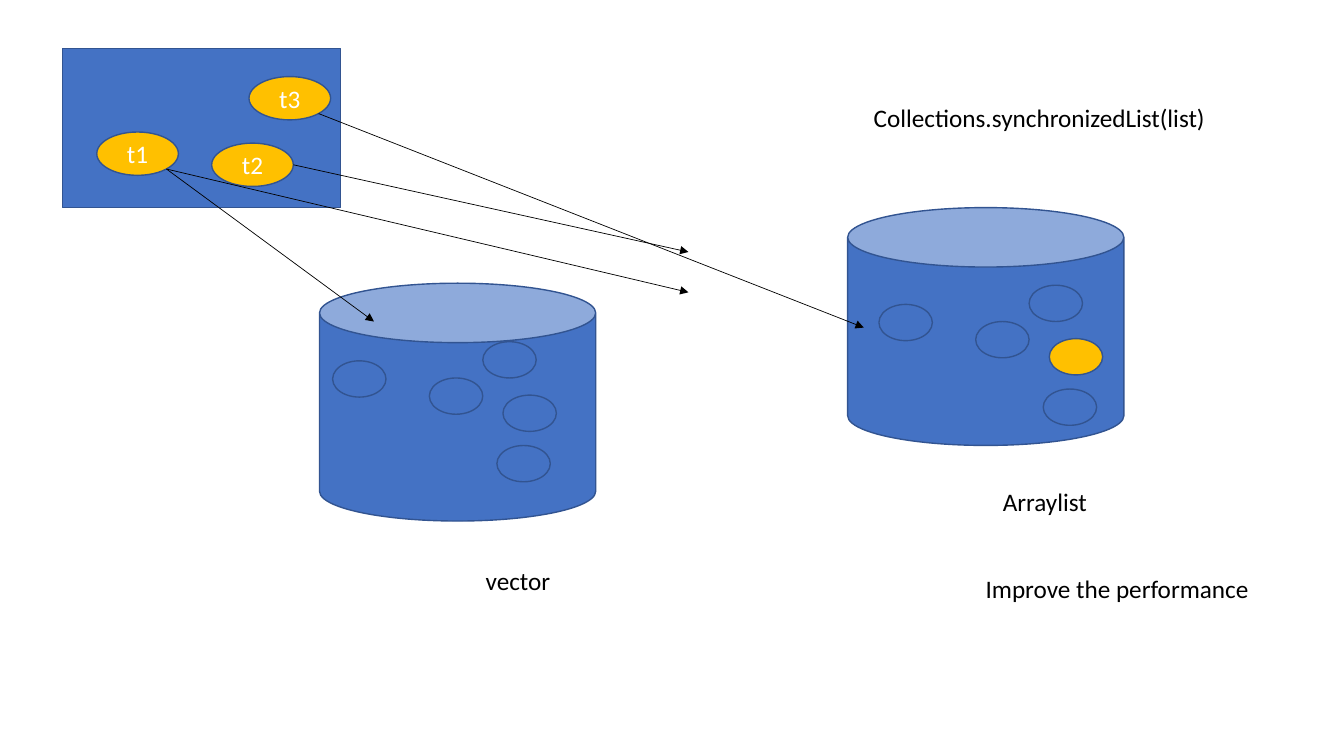
from math import cos, radians, sin

from lxml.etree import SubElement
from pptx import Presentation
from pptx.dml.color import RGBColor
from pptx.enum.shapes import MSO_CONNECTOR, MSO_SHAPE as SHAPE
from pptx.enum.text import MSO_ANCHOR, MSO_AUTO_SIZE, PP_ALIGN as ALIGN
from pptx.oxml.ns import qn
from pptx.util import Inches, Pt

COLORS = {"store": "4472C4", "edge": "325491", "thread": "FFC000",
          "ink": "000000", "light": "FFFFFF"}
COLUMNS, ROWS = 160, 90

CAN_SIZE = (32.88, 28.32)
ELEMENT_SIZE = (6.36, 4.32)
THREAD_SIZE = (9.72, 5.16)
LABEL_HEIGHT = 4.8
# Places of the elements inside a can, from back to front
ELEMENT_OFFSETS = [(13.08, 11.28), (21.84, 13.32), (1.56, 9.24),
                   (19.44, 6.96), (21.12, 19.32)]


def write(frame, text, font="Calibri", size=18, color="ink", align=ALIGN.LEFT):
    """Put formatted text into a text frame."""
    paragraph = frame.paragraphs[0]
    paragraph.alignment = align
    run = paragraph.add_run()
    run.text = text
    run.font.name = font
    run.font.size = Pt(size)
    run.font.color.rgb = RGBColor.from_string(COLORS[color])


def rim_point(corner, size, degrees):
    """Return the point on an ellipse's rim, clockwise from its right end."""
    angle = radians(degrees)
    return (corner[0] + size[0] / 2 * (1 + cos(angle)),
            corner[1] + size[1] / 2 * (1 + sin(angle)))


class Board:
    """The current slide, its grid and its style."""

    def __init__(self, deck):
        """Add a blank slide and fit the grid to it."""
        self.slide = deck.slides.add_slide(deck.slide_layouts[6])
        self.column = deck.slide_width / COLUMNS
        self.row = deck.slide_height / ROWS

    def place(self, *pairs):
        """Turn column and row pairs into slide lengths."""
        return [round(length) for column, row in pairs
                for length in (column * self.column, row * self.row)]

    def shape(self, kind, corner, size, fill="store", text=None):
        """Draw an outlined preset shape with optional centred text."""
        shape = self.slide.shapes.add_shape(kind, *self.place(corner, size))
        shape.shadow.inherit = False
        shape.fill.solid()
        shape.fill.fore_color.rgb = RGBColor.from_string(COLORS[fill])
        shape.line.color.rgb = RGBColor.from_string(COLORS["edge"])
        shape.line.width = Pt(1)
        if text:
            shape.text_frame.vertical_anchor = MSO_ANCHOR.MIDDLE
            write(shape.text_frame, text, color="light", align=ALIGN.CENTER)

    def can(self, corner, shift=(0, 0), highlighted=None):
        """Draw a can and its elements, one of them highlighted."""
        self.shape(SHAPE.CAN, corner, CAN_SIZE)
        for index, offset in enumerate(ELEMENT_OFFSETS):
            spot = tuple(map(sum, zip(corner, offset, shift)))
            fill = "thread" if index == highlighted else "store"
            self.shape(SHAPE.OVAL, spot, ELEMENT_SIZE, fill)

    def label(self, text, corner, width):
        """Write a single-line label."""
        frame = self.slide.shapes.add_textbox(
            *self.place(corner, (width, LABEL_HEIGHT))).text_frame
        frame.word_wrap = False
        frame.auto_size = MSO_AUTO_SIZE.SHAPE_TO_FIT_TEXT
        write(frame, text)

    def arrow(self, start, end):
        """Draw a thin arrow between two grid points."""
        arrow = self.slide.shapes.add_connector(
            MSO_CONNECTOR.STRAIGHT, *self.place(start, end))
        arrow.line.color.rgb = RGBColor.from_string(COLORS["ink"])
        arrow.line.width = Pt(0.5)
        SubElement(arrow.line._get_or_add_ln(), qn("a:tailEnd"), type="triangle")
        SubElement(arrow._element.spPr, qn("a:effectLst"))


def main():
    """Build the slide on threads and synchronized lists."""
    deck = Presentation()
    deck.slide_width, deck.slide_height = Inches(40 / 3), Inches(7.5)
    board = Board(deck)

    board.can((38.04, 33.72))
    board.label("vector", (56.64, 66.72), 10.2)

    board.shape(SHAPE.RECTANGLE, (7.44, 5.76), (33.12, 18.96))
    threads = {"t1": (11.52, 15.72), "t2": (25.2, 17.04), "t3": (29.64, 9.12)}
    for name, corner in threads.items():
        board.shape(SHAPE.OVAL, corner, THREAD_SIZE, "thread", name)

    board.can((100.92, 24.72), shift=(2.16, 2.28), highlighted=1)
    board.label("Arraylist", (118.2, 57.36), 12.48)

    accesses = [("t1", 45, (44.52, 38.28)), ("t1", 45, (81.96, 34.8)),
                ("t2", 0, (81.96, 30)), ("t3", 45, (102.84, 39))]
    for name, degrees, target in accesses:
        board.arrow(rim_point(threads[name], THREAD_SIZE, degrees), target)

    board.label("Collections.synchronizedList(list)", (102.84, 11.64), 42.36)
    board.label("Improve the performance", (116.16, 67.68), 34.08)
    deck.save("out.pptx")


main()
